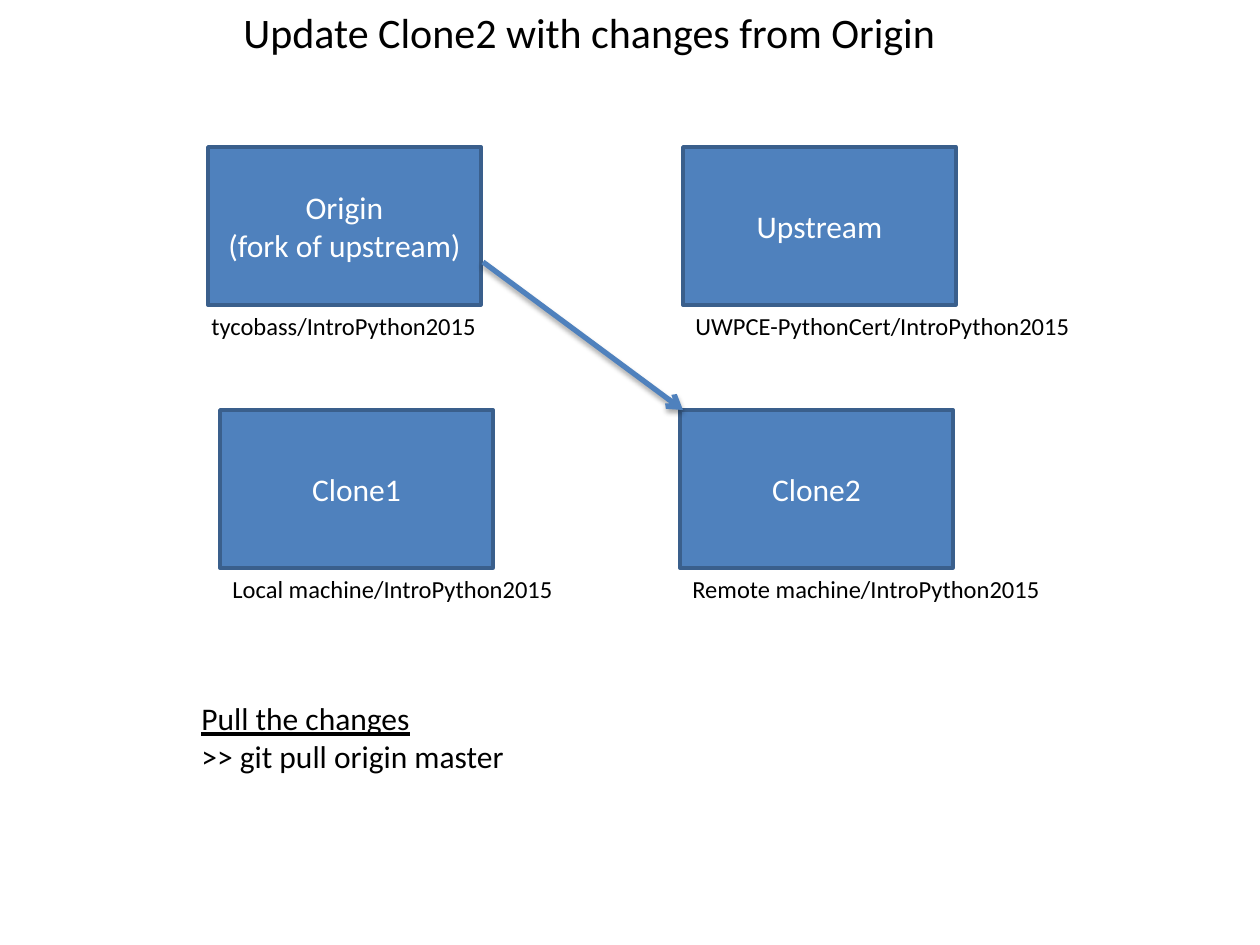
from lxml import etree
from pptx import Presentation
from pptx.dml.color import RGBColor
from pptx.enum.shapes import MSO_CONNECTOR, MSO_SHAPE
from pptx.enum.text import MSO_ANCHOR, MSO_AUTO_SIZE, PP_ALIGN
from pptx.oxml import parse_xml
from pptx.oxml.ns import nsdecls, qn
from pptx.util import Pt

LEFT, CENTER = PP_ALIGN.LEFT, PP_ALIGN.CENTER
MIDDLE = MSO_ANCHOR.MIDDLE
FIT_SHAPE = MSO_AUTO_SIZE.SHAPE_TO_FIT_TEXT
RECTANGLE, STRAIGHT = MSO_SHAPE.RECTANGLE, MSO_CONNECTOR.STRAIGHT

BLUE = RGBColor(0x4F, 0x81, 0xBD)
DARK_BLUE = RGBColor(0x3A, 0x5F, 0x8C)
WHITE = RGBColor(0xFF, 0xFF, 0xFF)
BLACK = RGBColor(0x00, 0x00, 0x00)
FONT = "Calibri"

# Content: lengths in px, 126 to the inch
TITLE = "Update Clone2 with changes from Origin"
COMMANDS = ["Pull the changes", ">> git pull origin master"]
REPO_WIDTH, REPO_HEIGHT, LABEL_HEIGHT = 273, 158, 43
TOP_ROW, BOTTOM_ROW = 147, 410
# name lines, left, top, label, label left, label width, label wraps
REPOS = [
    (["Origin", "(fork of upstream)"], 208, TOP_ROW,
     "tycobass/IntroPython2015", 199, 292, False),
    (["Upstream"], 683, TOP_ROW,
     "UWPCE-PythonCert/IntroPython2015", 683, 404, False),
    (["Clone1"], 220, BOTTOM_ROW,
     "Local machine/IntroPython2015", 220, 349, True),
    (["Clone2"], 680, BOTTOM_ROW,
     "Remote machine/IntroPython2015", 680, 379, True),
]
PULL_START, PULL_END = (483, 262), (683, BOTTOM_ROW)


def px(length):
    return round(length * 914400 / 126)


def write(frame, lines, size, color=BLACK, align=LEFT, underline_first=False):
    for index, line in enumerate(lines):
        para = frame.paragraphs[0] if index == 0 else frame.add_paragraph()
        para.alignment = align
        span = para.add_run()
        span.text = line
        span.font.name = FONT
        span.font.size = Pt(size)
        span.font.color.rgb = color
        if underline_first and index == 0:
            span.font.underline = True


def add_text(page, lines, left, top, width, height, size, wrap=False, **style):
    box = page.shapes.add_textbox(px(left), px(top), px(width), px(height))
    box.text_frame.word_wrap = wrap
    box.text_frame.auto_size = FIT_SHAPE
    write(box.text_frame, lines, size, **style)


def add_repo(page, lines, left, top):
    box = page.shapes.add_shape(RECTANGLE, px(left), px(top),
                                px(REPO_WIDTH), px(REPO_HEIGHT))
    box.shadow.inherit = False
    box.fill.solid()
    box.fill.fore_color.rgb = BLUE
    box.line.color.rgb = DARK_BLUE
    box.line.width = Pt(2)
    box.text_frame.vertical_anchor = MIDDLE
    write(box.text_frame, lines, 18, color=WHITE, align=CENTER)


def add_arrow(page, start, end):
    arrow = page.shapes.add_connector(STRAIGHT, *map(px, start + end))
    arrow.line.color.rgb = BLUE
    arrow.line.width = Pt(3)
    etree.SubElement(arrow.line._get_or_add_ln(), qn("a:tailEnd"), type="arrow")
    # Soft shadow straight below the line
    arrow._element.spPr.append(parse_xml(
        f'<a:effectLst {nsdecls("a")}>'
        f'<a:outerShdw blurRad="{Pt(3.1)}" dist="{Pt(1.8)}" dir="5400000" rotWithShape="0">'
        '<a:srgbClr val="000000"><a:alpha val="35000"/></a:srgbClr>'
        '</a:outerShdw></a:effectLst>'))


def main():
    deck = Presentation()
    deck.slide_width, deck.slide_height = px(1260), px(945)
    page = deck.slides.add_slide(deck.slide_layouts[6])

    add_text(page, [TITLE], 231, 0, 723, 63, 24)

    # Repositories with their labels beneath
    for lines, left, top, label, label_left, label_width, wrap in REPOS:
        add_repo(page, lines, left, top)
        add_text(page, [label], label_left, top + REPO_HEIGHT,
                 label_width, LABEL_HEIGHT, 14, wrap=wrap)

    # Pull from Origin to Clone2
    add_arrow(page, PULL_START, PULL_END)
    add_text(page, COMMANDS, 189, 693, 339, 89, 18, underline_first=True)

    deck.save("out.pptx")


if __name__ == "__main__":
    main()
